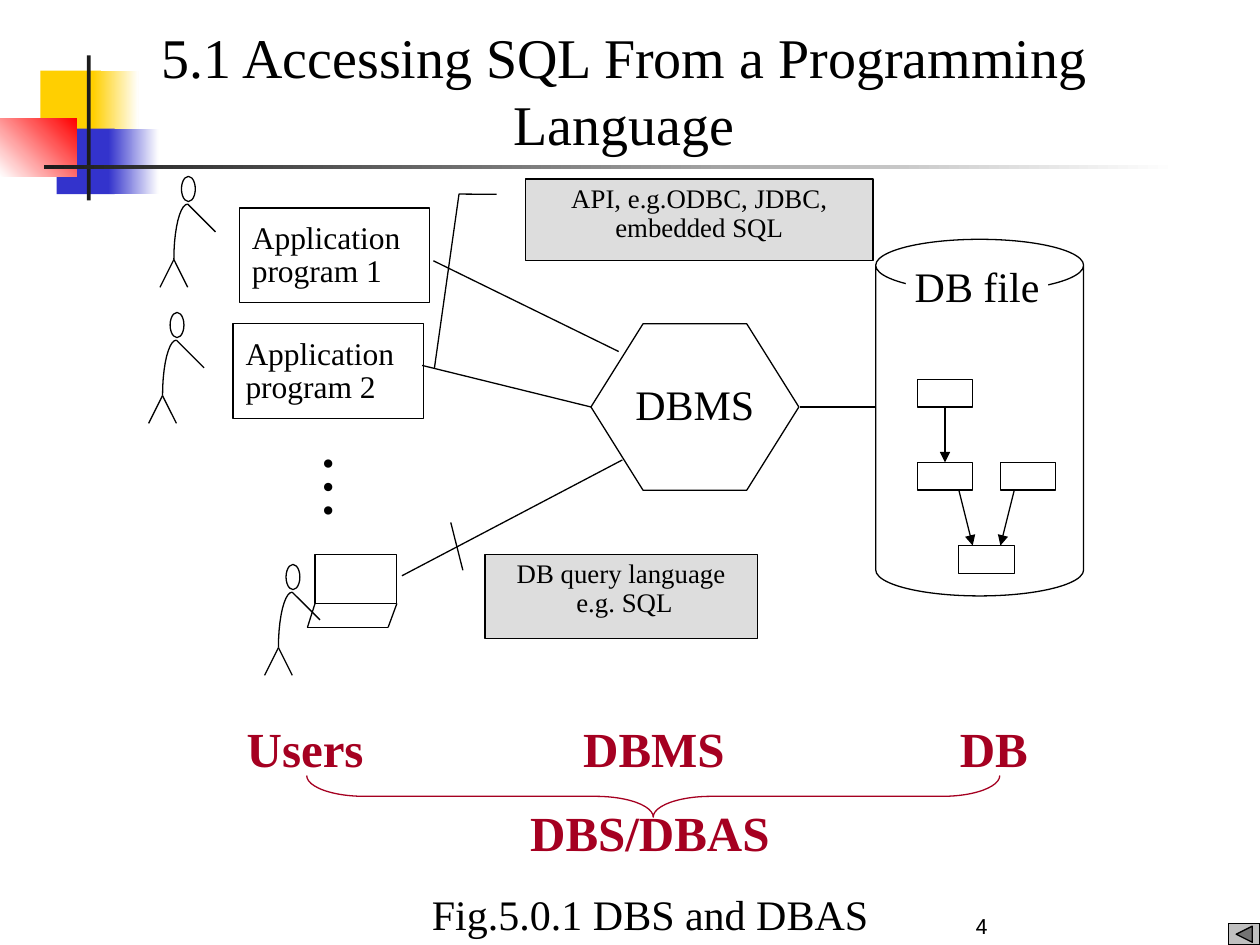
import math

from lxml import etree
from pptx import Presentation
from pptx.dml.color import RGBColor
from pptx.enum import shapes, text
from pptx.oxml.ns import qn
from pptx.util import Inches, Pt

SHAPE = shapes.MSO_SHAPE
ALIGN = text.PP_ALIGN
SERIF = "Times New Roman"
BLACK, WHITE, GREY, CRIMSON = "000000", "FFFFFF", "DDDDDD", "A50021"
rgb = RGBColor.from_string

prs = Presentation()
prs.slide_width, prs.slide_height = Inches(10), Inches(7.5)
slide = prs.slides.add_slide(prs.slide_layouts[5])
canvas = slide.shapes


def box(kind, at, fill=WHITE, line=BLACK, adjust=()):
    """Add a preset shape; fill is a hex string, None, or (from, to, angle)."""
    shape = canvas.add_shape(kind, *map(Inches, at))
    shape.shadow.inherit = False
    for i, value in enumerate(adjust):
        shape.adjustments[i] = value
    if fill is None:
        shape.fill.background()
    elif isinstance(fill, tuple):
        shape.fill.gradient()
        shape.fill.gradient_angle = fill[2]
        for stop, position, shade in zip(shape.fill.gradient_stops, (0, 1), fill):
            stop.position = position
            stop.color.rgb = rgb(shade)
    else:
        shape.fill.solid()
        shape.fill.fore_color.rgb = rgb(fill)
    if line:
        shape.line.color.rgb = rgb(line)
        shape.line.width = Pt(0.75)
    else:
        shape.line.fill.background()
    return shape


def write(shape, words, size=24, font=SERIF, color=BLACK, bold=False, align=ALIGN.LEFT,
          spacing=1.0, anchor=text.MSO_ANCHOR.TOP, wrap=True, insets=(0.1, 0.05, 0.1, 0.05)):
    frame = shape.text_frame
    frame.text = words
    frame.word_wrap = wrap
    frame.auto_size = text.MSO_AUTO_SIZE.NONE
    frame.vertical_anchor = anchor
    (frame.margin_left, frame.margin_top,
     frame.margin_right, frame.margin_bottom) = map(Inches, insets)
    for paragraph in frame.paragraphs:
        paragraph.alignment = align
        paragraph.line_spacing = spacing
        paragraph.font.size = Pt(size)
        paragraph.font.name = font
        paragraph.font.bold = bold
        paragraph.font.color.rgb = rgb(color)


# Corner ornament and title rule
for at, fill in [
    ((0.32, 0.56, 0.48, 0.52), "FFCF01"),
    ((0.74, 0.56, 0.36, 0.52), ("FFCF01", WHITE, 0)),
    ((0.45, 1.02, 0.46, 0.52), "3333CC"),
    ((0.86, 1.02, 0.4, 0.52), ("3333CC", WHITE, 0)),
    ((0, 0.94, 0.61, 0.46), (WHITE, "FF0000", 45)),
    ((0.69, 0.44, 0.03, 1.15), "1C1C1C"),
    ((0.35, 1.31, 9, 0.03), ("1C1C1C", WHITE, 0)),
]:
    box(SHAPE.RECTANGLE, at, fill, line=None)

title = canvas.title
title.left, title.top, title.width, title.height = map(Inches, (0.35, 0.13, 9.21, 1.17))
write(title, "5.1 Accessing SQL From a Programming Language", size=32, align=ALIGN.CENTER)

# Straight lines as (x1, y1, x2, y2), drawn after the shapes
lines = [
    (2.5, 4.79, 2.44, 4.98), (3.15, 4.79, 3.08, 4.98), (2.44, 4.98, 3.08, 4.98),  # keyboard
    (6.35, 3.23, 6.95, 3.23),  # DBMS to DB file
    (3.44, 2.07, 4.91, 2.79), (3.35, 2.9, 4.69, 3.23), (3.19, 4.57, 4.94, 3.65),  # to DBMS
]
box(SHAPE.RECTANGLE, (2.5, 4.4, 0.65, 0.39))  # computer screen

# Users: head, curved back, two legs and an arm
for x, y in [(1.49, 1.62), (1.4, 2.7), (2.32, 4.7)]:
    box(SHAPE.FLOWCHART_CONNECTOR, (x - 0.05, y - 0.22, 0.11, 0.2))
    curve = [(x - 0.11 * math.sin(a), y + 0.44 * (1 - math.cos(a)))
             for a in (math.radians(d) for d in range(0, 91, 9))]
    builder = canvas.build_freeform(Inches(x), Inches(y))
    builder.add_line_segments([(Inches(px), Inches(py)) for px, py in curve[1:]], close=False)
    back = builder.convert_to_shape()
    back.shadow.inherit = False
    back.fill.background()
    back.line.color.rgb = rgb(BLACK)
    back.line.width = Pt(0.75)
    hip = (x - 0.11, y + 0.44)
    lines += [(*hip, x, y + 0.66), (*hip, x - 0.22, y + 0.66), (x, y, x + 0.22, y + 0.22)]

# System parts
dbms = box(SHAPE.HEXAGON, (4.69, 2.57, 1.65, 1.32), adjust=(0.313, 1.155))
write(dbms, "DBMS", align=ALIGN.CENTER, insets=(0, 0.21, 0, 0.05))
box(SHAPE.CAN, (6.95, 1.9, 1.65, 2.83), adjust=(0.25,))
db_file = box(SHAPE.RECTANGLE, (7.19, 2.07, 1.13, 0.44), line=None)
write(db_file, "DB file", align=ALIGN.CENTER, insets=(0, 0, 0, 0))
root, child, _, _ = [box(SHAPE.RECTANGLE, (x, y, 0.44, 0.22)) for x, y in
                     [(7.28, 3.01), (7.28, 3.67), (7.94, 3.67), (7.61, 4.33)]]
for number, left, top in [(1, 1.9, 1.65), (2, 1.85, 2.57)]:
    program = box(SHAPE.RECTANGLE, (left, top, 1.51, 0.75))
    write(program, f"Application program {number}", size=18, align=ALIGN.JUSTIFY,
          spacing=0.85, insets=(0.1, 0.13, 0.1, 0.05))

more_programs = canvas.add_textbox(*map(Inches, (2.33, 3.49, 0.86, 0.92)))
write(more_programs, "…", size=40, insets=(0.05, 0.1, 0.05, 0.1))
more_programs.text_frame._txBody.bodyPr.set("vert", "eaVert")

# Interface callouts
for at, leader, words in [
    ((3.85, 4.4, 2.16, 0.67), (0.188, -0.083, 0.185, -0.082, -0.378, -0.126),
     "DB query language\n e.g. SQL"),
    ((4.17, 1.42, 2.76, 0.65), (0.188, -0.083, 0.185, -0.191, 2.32, -0.262),
     "API, e.g.ODBC, JDBC, embedded SQL"),
]:
    callout = box(SHAPE.LINE_CALLOUT_2, at, GREY, adjust=leader)
    write(callout, words, size=15.3, align=ALIGN.CENTER, spacing=0.9)

# Lines, then the arrows between records
arrows = [(7.5, 3.23, 7.5, 3.67), (7.61, 3.89, 7.72, 4.33), (8.05, 3.89, 7.94, 4.33)]
for ends in lines + arrows:
    link = canvas.add_connector(shapes.MSO_CONNECTOR.STRAIGHT, *map(Inches, ends))
    link.line.color.rgb = rgb(BLACK)
    link.line.width = Pt(0.75)
    if ends in arrows:
        etree.SubElement(link.line._get_or_add_ln(), qn("a:tailEnd"), type="triangle")
    etree.SubElement(link._element.spPr, qn("a:effectLst"))
    if ends == arrows[0]:
        link.begin_connect(root, 2)
        link.end_connect(child, 0)

# Labels below the diagram
brace = box(SHAPE.LEFT_BRACE, (5.02, 3.57, 0.33, 5.5), None, CRIMSON, adjust=(1.39, 0.5))
brace.rotation = 270
for words, left, top, width in [("Users", 1.86, 5.65, 1.13), ("DBMS", 4.53, 5.65, 1.32),
                                ("DB", 7.52, 5.65, 0.74), ("DBS/DBAS", 4.11, 6.32, 2.1)]:
    label = canvas.add_textbox(*map(Inches, (left, top, width, 0.57)))
    write(label, words, size=28, color=CRIMSON, bold=True, wrap=False)

caption = canvas.add_textbox(*map(Inches, (3.33, 7, 3.66, 0.5)))
write(caption, "Fig.5.0.1 DBS and DBAS", wrap=False)
page_number = canvas.add_textbox(*map(Inches, (6.75, 7, 2.08, 0.5)))
write(page_number, "4", size=12, font="Roboto", align=ALIGN.CENTER,
      anchor=text.MSO_ANCHOR.BOTTOM)
box(SHAPE.ACTION_BUTTON_BACK_OR_PREVIOUS, (9.75, 7.33, 0.25, 0.17), "C0C0C0")

prs.save("out.pptx")
